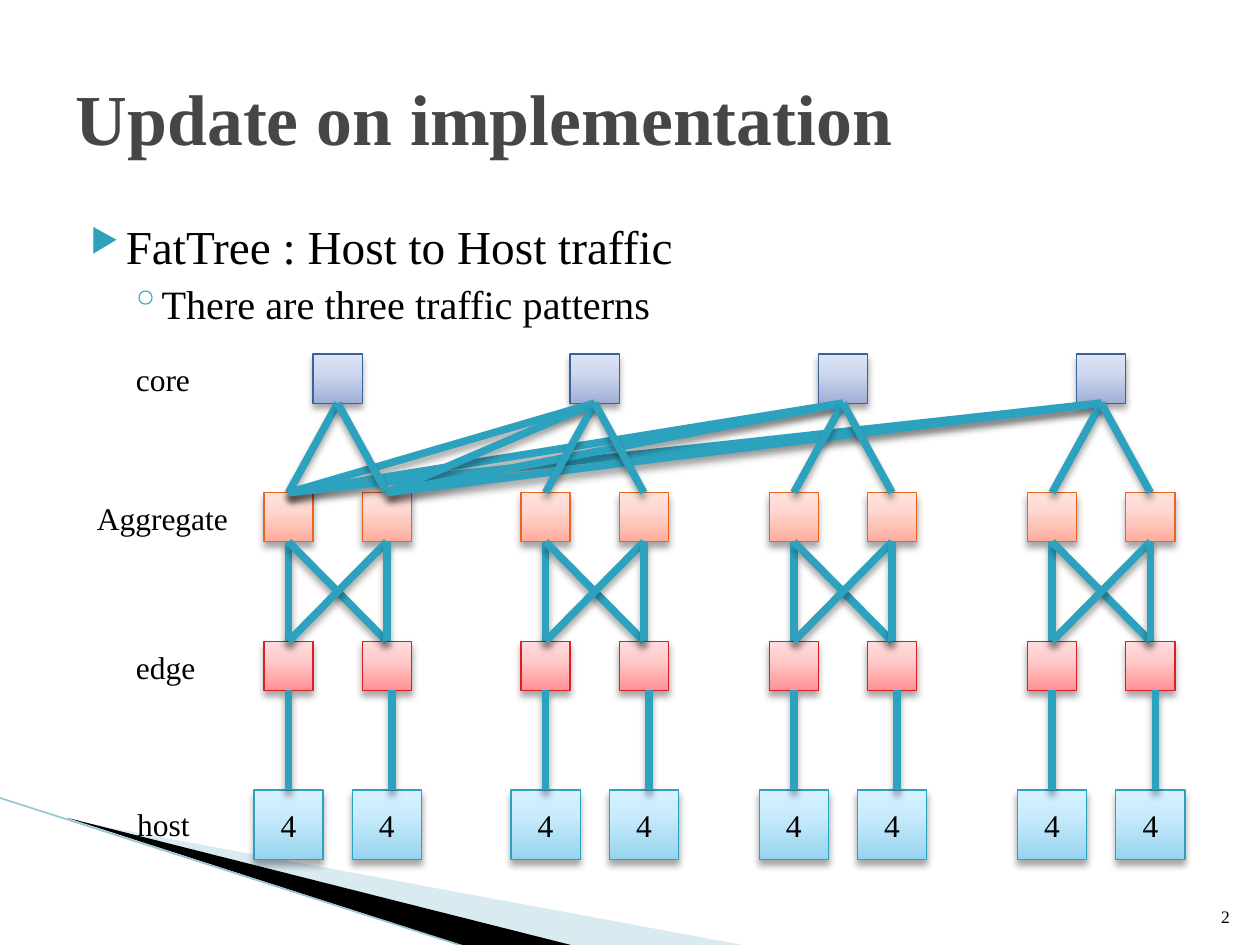
import dataclasses
import itertools

import pptx
import pptx.dml.color
import pptx.enum.shapes
import pptx.enum.text
import pptx.oxml
import pptx.oxml.ns
import pptx.util

Inches = pptx.util.Inches
Align = pptx.enum.text.PP_ALIGN
Anchor = pptx.enum.text.MSO_ANCHOR
NAMESPACE = pptx.oxml.ns.nsdecls("a")


@dataclasses.dataclass(frozen=True)
class Theme:
    font: str = "Times New Roman"
    ink: str = "000000"
    title_ink: str = "464646"
    accent: str = "2DA2BF"
    wedge: str = "A0CBDC"
    wedge_edge: str = "97C5D8"
    title_size: int = 41
    bullet_size: int = 27
    detail_size: int = 23
    label_size: int = 18
    number_size: int = 10
    box_line: float = 0.75
    link_line: float = 4.33


@dataclasses.dataclass(frozen=True)
class Tier:
    label: str
    label_left: float
    label_top: float
    label_width: float
    top: float
    size: float
    line: str
    stops: tuple
    text: str = ""

    @property
    def bottom(self):
        return self.top + self.size


THEME = Theme()
CORE = Tier("core", 0.98, 2.81, 0.64, 2.81, 0.39, "39639D", ("9FAFD6", "D0D9EF", "DCE3F6"))
AGGREGATE = Tier("Aggregate", 0.67, 3.91, 1.25, 3.91, 0.39, "EB641B", ("FFAC9C", "FFD8D2", "FFE4DF"))
EDGE = Tier("edge", 0.98, 5.09, 0.68, 5.09, 0.39, "DA1F28", ("FF9294", "FFCDCD", "FFDCDC"))
HOST = Tier("host", 0.99, 6.34, 0.62, 6.27, 0.55, THEME.accent, ("96D4EE", "C9ECFC", "D7F2FF"), "4")
POD_CENTERS = (2.68, 4.72, 6.69, 8.74)
COLUMN_OFFSET = 0.39
HOST_LINK_SHIFTS = (0, 0.04)


def color(value):
    return pptx.dml.color.RGBColor.from_string(value)


def add_xml(parent, markup):
    element = pptx.oxml.parse_xml(markup.replace(">", f" {NAMESPACE}>", 1))
    parent.append(element)
    return element


def add_span(para, text, size, ink=THEME.ink, bold=False):
    span = para.add_run()
    span.text = text
    span.font.name = THEME.font
    span.font.size = pptx.util.Pt(size)
    span.font.bold = bold
    span.font.color.rgb = color(ink)
    return span


def add_text_box(page, left, top, width, height, wrap=True, anchor=Anchor.TOP):
    frame = page.shapes.add_textbox(*map(Inches, (left, top, width, height))).text_frame
    frame.word_wrap = wrap
    frame.vertical_anchor = anchor
    return frame


def add_shadow(shape):
    add_xml(
        shape._element.spPr,
        '<a:effectLst ><a:outerShdw blurRad="50800" dist="38100" dir="5400000" rotWithShape="0">'
        '<a:srgbClr val="000000"><a:alpha val="35000"/></a:srgbClr></a:outerShdw></a:effectLst>',
    )


def add_line(page, start, end, ink, width):
    line = page.shapes.add_connector(
        pptx.enum.shapes.MSO_CONNECTOR.STRAIGHT, *map(Inches, (*start, *end))
    )
    line.line.color.rgb = color(ink)
    line.line.width = pptx.util.Pt(width)
    return line


def add_link(page, start, end):
    add_shadow(add_line(page, start, end, THEME.accent, THEME.link_line))


def add_node(page, tier, center):
    bounds = (center - tier.size / 2, tier.top, tier.size, tier.size)
    node = page.shapes.add_shape(pptx.enum.shapes.MSO_SHAPE.RECTANGLE, *map(Inches, bounds))
    node.fill.gradient()
    node.fill.gradient_angle = 90
    stop_list = node._element.spPr.find(".//" + pptx.oxml.ns.qn("a:gsLst"))
    for stop in list(stop_list):
        stop_list.remove(stop)
    for position, shade in zip((0, 65, 100), tier.stops):
        add_xml(stop_list, f'<a:gs pos="{position * 1000}"><a:srgbClr val="{shade}"/></a:gs>')
    node.line.color.rgb = color(tier.line)
    node.line.width = pptx.util.Pt(THEME.box_line)
    add_shadow(node)
    if tier.text:
        node.text_frame.vertical_anchor = Anchor.MIDDLE
        para = node.text_frame.paragraphs[0]
        para.alignment = Align.CENTER
        add_span(para, tier.text, THEME.label_size)


def add_wedge(page, points, fill, alpha=100):
    corners = [(Inches(x), Inches(y)) for x, y in points]
    builder = page.shapes.build_freeform(*corners[0], scale=1.0)
    builder.add_line_segments(corners[1:], close=True)
    wedge = builder.convert_to_shape()
    wedge.shadow.inherit = False
    wedge.fill.solid()
    wedge.fill.fore_color.rgb = color(fill)
    wedge.line.fill.background()
    if alpha < 100:
        tint = wedge._element.spPr.find(".//" + pptx.oxml.ns.qn("a:srgbClr"))
        add_xml(tint, f'<a:alpha val="{alpha * 1000}" ></a:alpha>')


def add_decoration(page):
    add_wedge(page, [(0.55, 6.51), (5.95, 7.51), (4.56, 7.51)], THEME.wedge, alpha=40)
    add_wedge(page, [(0.53, 6.49), (4.57, 7.51), (3.72, 7.52)], THEME.ink)
    line = add_line(page, (-0.01, 6.33), (3.71, 7.52), THEME.wedge_edge, 0.95)
    add_xml(line._element.spPr, "<a:effectLst ></a:effectLst>")


def add_title(page, text):
    title = page.shapes.title
    title.left, title.top, title.width, title.height = map(Inches, (0.5, 0.3, 9, 1.25))
    title.text_frame.vertical_anchor = Anchor.MIDDLE
    title.text_frame.auto_size = pptx.enum.text.MSO_AUTO_SIZE.NONE
    para = title.text_frame.paragraphs[0]
    para.alignment = Align.LEFT
    add_span(para, text, THEME.title_size, ink=THEME.title_ink, bold=True)


def add_bullet(para, text, mark, size, left, hanging, level=0, mark_share=100):
    para.level = level
    properties = para._p.get_or_add_pPr()
    properties.set("marL", str(Inches(left)))
    properties.set("indent", str(Inches(-hanging)))
    add_xml(properties, f'<a:buClr ><a:srgbClr val="{THEME.accent}"/></a:buClr>')
    add_xml(properties, f'<a:buSzPct val="{mark_share * 1000}" ></a:buSzPct>')
    add_xml(properties, f'<a:buChar char="{mark}" ></a:buChar>')
    add_span(para, text, size)


def add_body(page):
    frame = add_text_box(page, 0.5, 1.62, 9, 1.11)
    frame.margin_top = Inches(0.1)
    add_bullet(frame.paragraphs[0], "FatTree : Host to Host traffic", "▶",
               THEME.bullet_size, 0.4, 0.28, mark_share=68)
    detail = frame.add_paragraph()
    detail.space_before = pptx.util.Pt(3.2)
    add_bullet(detail, "There are three traffic patterns", "◦",
               THEME.detail_size, 0.68, 0.25, level=1)


def add_page_number(page, number):
    para = add_text_box(page, 9.46, 7.01, 0.4, 0.4, anchor=Anchor.BOTTOM).paragraphs[0]
    para.alignment = Align.RIGHT
    add_span(para, number, THEME.number_size)


def add_pod(page, center, core_centers):
    columns = (center - COLUMN_OFFSET, center + COLUMN_OFFSET)
    for tier, column in itertools.product((HOST, EDGE, AGGREGATE), columns):
        add_node(page, tier, column)
    for column, shift in zip(columns, HOST_LINK_SHIFTS):
        add_link(page, (column + shift, HOST.top), (column + shift, EDGE.bottom))
    for upper, lower in itertools.product(columns, columns):
        add_link(page, (upper, AGGREGATE.bottom), (lower, EDGE.top))
    for column, core in itertools.product(columns, core_centers):
        add_link(page, (column, AGGREGATE.top), (core, CORE.bottom))


def add_tree(page):
    for tier in (HOST, EDGE, AGGREGATE, CORE):
        frame = add_text_box(page, tier.label_left, tier.label_top, tier.label_width, 0.4, wrap=False)
        add_span(frame.paragraphs[0], tier.label, THEME.label_size)
    for center in POD_CENTERS:
        add_node(page, CORE, center)
    for index, center in enumerate(POD_CENTERS):
        add_pod(page, center, (center,) if index else POD_CENTERS)


def main():
    deck = pptx.Presentation()
    deck.slide_width, deck.slide_height = Inches(10), Inches(7.5)
    page = deck.slides.add_slide(deck.slide_layouts[5])
    add_decoration(page)
    add_title(page, "Update on implementation")
    add_body(page)
    add_page_number(page, "2")
    add_tree(page)
    deck.save("out.pptx")


if __name__ == "__main__":
    main()
